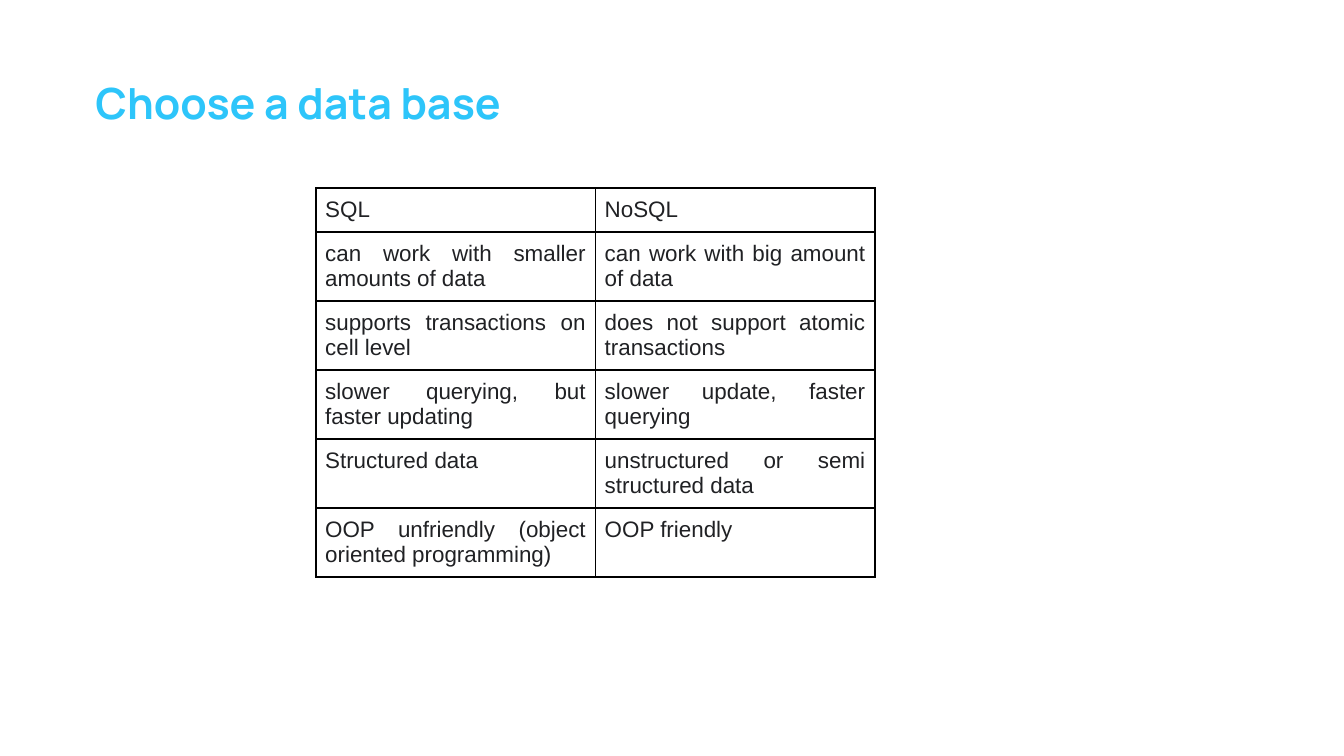
from lxml import etree
from pptx import Presentation
from pptx.dml.color import RGBColor
from pptx.enum import text
from pptx.oxml import ns
from pptx.util import Inches, Pt

SKY = RGBColor(0x2D, 0xC5, 0xFA)
INK = RGBColor(0x20, 0x21, 0x24)
BORDER = RGBColor(0x00, 0x00, 0x00)

ROWS = [
    ("SQL", "NoSQL"),
    ("can work with smaller amounts of data", "can work with big amount of data"),
    ("supports transactions on cell level", "does not support atomic transactions"),
    ("slower querying, but faster updating", "slower update, faster querying"),
    ("Structured data", "unstructured or semi structured data"),
    ("OOP unfriendly (object oriented programming)", "OOP friendly "),
]


def add_borders(cell):
    tcPr = cell._tc.get_or_add_tcPr()
    for i, side in enumerate(("lnL", "lnR", "lnT", "lnB")):
        ln = etree.Element(ns.qn(f"a:{side}"), w=str(Pt(1)))
        fill = etree.SubElement(ln, ns.qn("a:solidFill"))
        etree.SubElement(fill, ns.qn("a:srgbClr"), val=str(BORDER))
        tcPr.insert(i, ln)


prs = Presentation()
prs.slide_width = Inches(10)
prs.slide_height = prs.slide_width * 9 // 16
s = prs.slides.add_slide(prs.slide_layouts[5])

title = s.shapes.title
title.left, title.top = Inches(0.61), Inches(0.47)
title.width, title.height = Inches(5.34), Inches(0.54)
tf = title.text_frame
tf.text = "Choose a data base"
tf.word_wrap = True
tf.auto_size = text.MSO_AUTO_SIZE.NONE
tf.vertical_anchor = text.MSO_ANCHOR.TOP
tf.margin_left = tf.margin_right = tf.margin_top = tf.margin_bottom = Inches(0.1)
p = tf.paragraphs[0]
p.alignment = text.PP_ALIGN.LEFT
p.space_after = Pt(16)
p.font.name, p.font.size, p.font.bold = "Manrope", Pt(23), True
p.font.color.rgb = SKY

table = s.shapes.add_table(len(ROWS), 2, Inches(2.35), Inches(1.4),
                           Inches(4.16), Inches(2.87)).table
table.first_row = table.horz_banding = False
for i, row in enumerate(ROWS):
    table.rows[i].height = Inches(0.51 if i else 0.32)
    for j, label in enumerate(row):
        cell = table.cell(i, j)
        cell.text = label
        cell.fill.background()
        add_borders(cell)
        cell.margin_left = cell.margin_right = Inches(0.07)
        cell.margin_top = cell.margin_bottom = Inches(0.07)
        p = cell.text_frame.paragraphs[0]
        p.alignment = text.PP_ALIGN.JUSTIFY
        p.font.name, p.font.size = "Arial", Pt(12)
        p.font.color.rgb = INK

prs.save("out.pptx")
